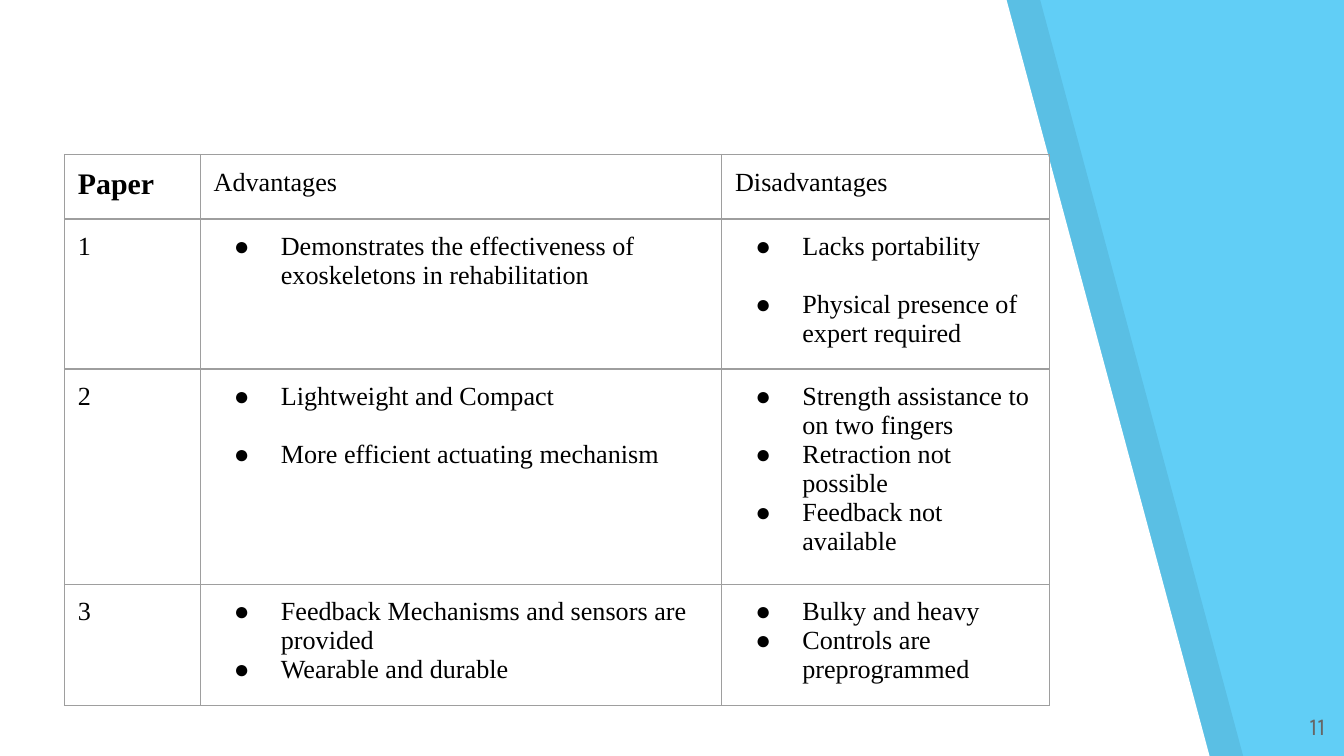
import lxml.etree
import pptx
import pptx.dml.color
import pptx.enum.text
import pptx.oxml.ns
import pptx.util

Inches, Pt = pptx.util.Inches, pptx.util.Pt
qn = pptx.oxml.ns.qn

# Content: a string is plain text, a list is bullets
HEADINGS = ["Paper", "Advantages", "Disadvantages"]
PAPERS = [
    ("1",
     ["Demonstrates the effectiveness of exoskeletons in rehabilitation"],
     ["Lacks portability", "Physical presence of expert required"]),
    ("2",
     ["Lightweight and Compact", "More efficient actuating mechanism"],
     ["Strength assistance to on two fingers", "Retraction not possible",
      "Feedback not available"]),
    ("3",
     ["Feedback Mechanisms and sensors are provided", "Wearable and durable"],
     ["Bulky and heavy", "Controls are preprogrammed"]),
]
SPACED_BULLETS = {"Physical presence of expert required",
                  "More efficient actuating mechanism"}
PAGE_NUMBER = "11"

# Theme and layout, in inches and points
THEME = {
    "background": "61CEF6", "panel": "FFFFFF", "shade": "000000",
    "text": "000000", "number": "666666", "border": "9E9E9E",
    "font": "Times New Roman", "number_font": "Karla",
    "heading_size": 16, "body_size": 14, "number_size": 13,
    "bullet_gap": 15.5, "border_width": 0.75, "shade_opacity": 7,
}
WIDTH = 10
HEIGHT = WIDTH * 9 / 16
PANEL_TOP, PANEL_BOTTOM, SHADE_OFFSET = 7.49, 9, 0.25
TABLE_LEFT, TABLE_TOP = 0.48, 1.15
COLUMNS = [1.01, 3.88, 2.44]
ROWS = [0.48, 0.9, 0.9, 0.43]  # least heights: rows grow with their text
MARGIN = 0.1


def color(name):
    return pptx.dml.color.RGBColor.from_string(THEME[name])


def set_margins(box):
    box.margin_left = box.margin_right = Inches(MARGIN)
    box.margin_top = box.margin_bottom = Inches(MARGIN)


def set_font(paragraph, size="body_size", font="font", ink="text", bold=False):
    paragraph.font.size = Pt(THEME[size])
    paragraph.font.name = THEME[font]
    paragraph.font.color.rgb = color(ink)
    paragraph.font.bold = bold


def add_panel(slide, offset, fill, opacity=100):
    builder = slide.shapes.build_freeform(Inches(offset), 0)
    corners = [(PANEL_TOP, 0), (PANEL_BOTTOM, HEIGHT), (0, HEIGHT)]
    builder.add_line_segments(
        [(Inches(offset + x), Inches(y)) for x, y in corners], close=True)
    panel = builder.convert_to_shape()
    panel.shadow.inherit = False
    panel.line.fill.background()
    panel.fill.solid()
    panel.fill.fore_color.rgb = color(fill)
    if opacity < 100:
        tint = panel.fill._xPr.find(".//" + qn("a:srgbClr"))
        lxml.etree.SubElement(tint, qn("a:alpha"), val=str(opacity * 1000))


def add_bullet(paragraph):
    properties = paragraph._p.get_or_add_pPr()
    properties.set("marL", str(Inches(0.5)))
    properties.set("indent", str(Inches(-0.35)))
    bullet_color = lxml.etree.Element(qn("a:buClr"))
    lxml.etree.SubElement(bullet_color, qn("a:srgbClr"), val=THEME["text"])
    bullet_font = lxml.etree.Element(qn("a:buFont"), typeface=THEME["font"])
    bullet = lxml.etree.Element(qn("a:buChar"), char="●")
    # Bullet settings belong before the default run properties
    for element in (bullet_color, bullet_font, bullet):
        properties.find(qn("a:defRPr")).addprevious(element)


def add_borders(cell):
    properties = cell._tc.get_or_add_tcPr()
    for side in ("a:lnL", "a:lnR", "a:lnT", "a:lnB"):
        line = lxml.etree.SubElement(properties, qn(side),
                                     w=str(Pt(THEME["border_width"])))
        fill = lxml.etree.SubElement(line, qn("a:solidFill"))
        lxml.etree.SubElement(fill, qn("a:srgbClr"), val=THEME["border"])


def fill_cell(cell, content, is_title):
    set_margins(cell)
    add_borders(cell)
    cell.fill.background()
    bulleted = isinstance(content, list)
    lines = content if bulleted else [content]
    cell.text = "\n".join(lines)
    for paragraph, line in zip(cell.text_frame.paragraphs, lines):
        set_font(paragraph, "heading_size" if is_title else "body_size",
                 bold=is_title)
        if bulleted:
            if line in SPACED_BULLETS:
                paragraph.space_before = Pt(THEME["bullet_gap"])
            add_bullet(paragraph)


def add_comparison(slide):
    frame = slide.shapes.add_table(
        len(ROWS), len(COLUMNS), Inches(TABLE_LEFT), Inches(TABLE_TOP),
        Inches(sum(COLUMNS)), Inches(sum(ROWS)))
    table = frame.table
    table.first_row = table.horz_banding = False
    for column, width in zip(table.columns, COLUMNS):
        column.width = Inches(width)
    for row, height in zip(table.rows, ROWS):
        row.height = Inches(height)
    for r, contents in enumerate([HEADINGS, *PAPERS]):
        for c, content in enumerate(contents):
            fill_cell(table.cell(r, c), content, is_title=r == c == 0)


def add_page_number(slide):
    box = slide.shapes.add_textbox(Inches(9.36), Inches(5.19),
                                   Inches(0.6), Inches(0.43))
    frame = box.text_frame
    frame.word_wrap = True
    set_margins(frame)
    frame.text = PAGE_NUMBER
    paragraph = frame.paragraphs[0]
    paragraph.alignment = pptx.enum.text.PP_ALIGN.RIGHT
    set_font(paragraph, "number_size", "number_font", "number")


def main():
    presentation = pptx.Presentation()
    presentation.slide_width = Inches(WIDTH)
    presentation.slide_height = Inches(HEIGHT)
    slide = presentation.slides.add_slide(presentation.slide_layouts[6])

    # Blue background under a white panel with a slanted, shaded edge
    slide.background.fill.solid()
    slide.background.fill.fore_color.rgb = color("background")
    add_panel(slide, SHADE_OFFSET, "shade", THEME["shade_opacity"])
    add_panel(slide, 0, "panel")

    # Page number and table
    add_page_number(slide)
    add_comparison(slide)
    presentation.save("out.pptx")


if __name__ == "__main__":
    main()
